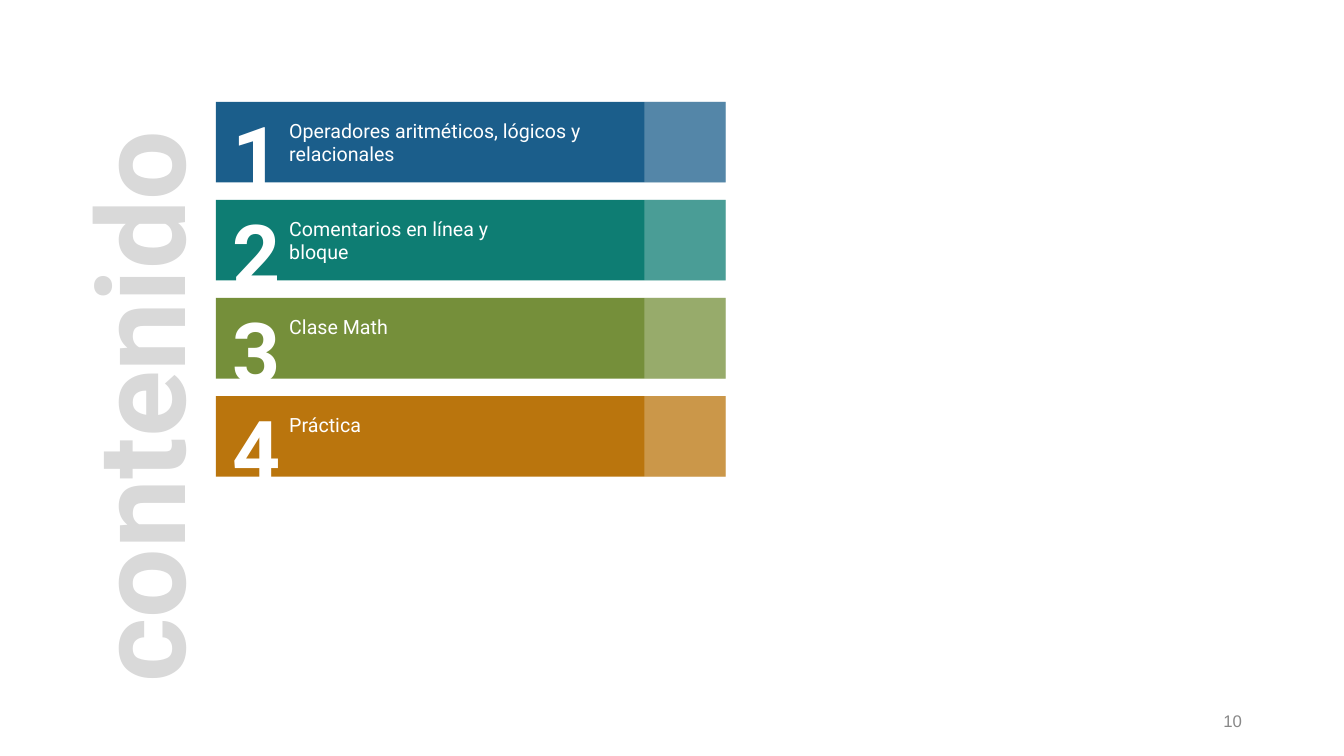
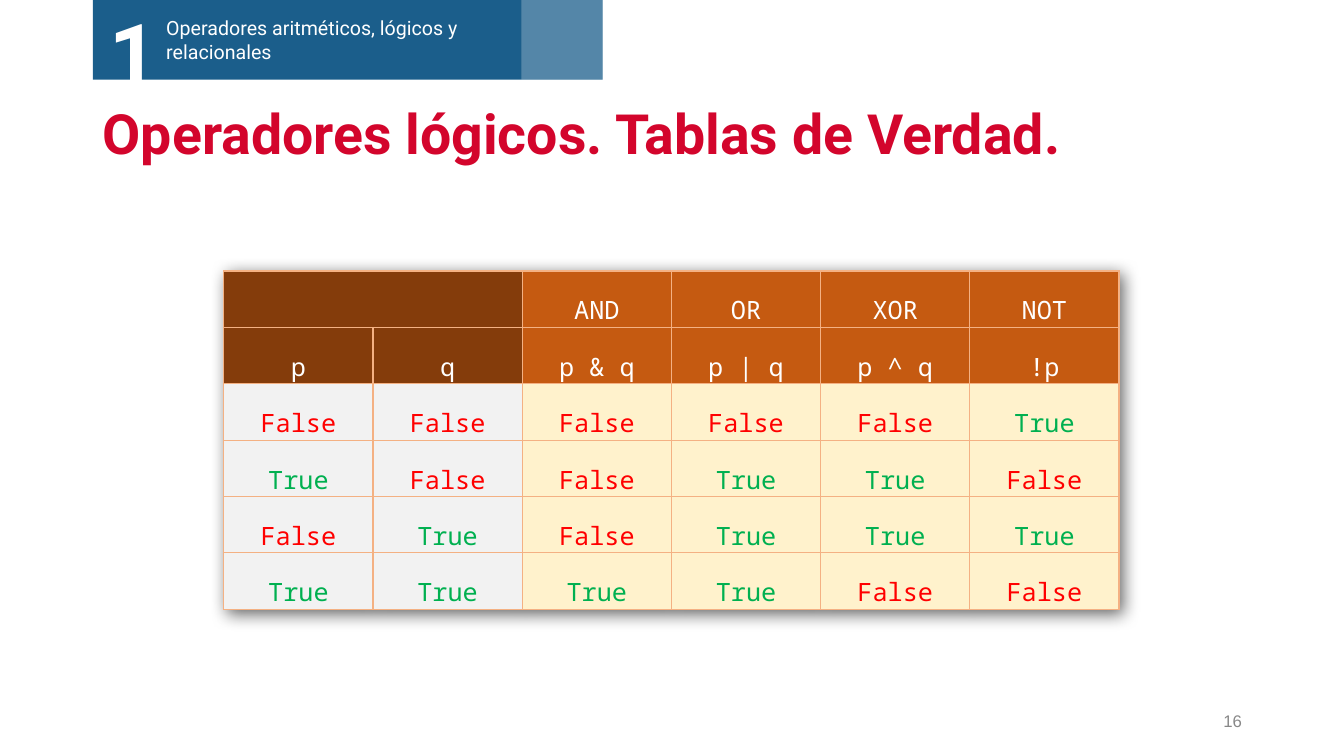
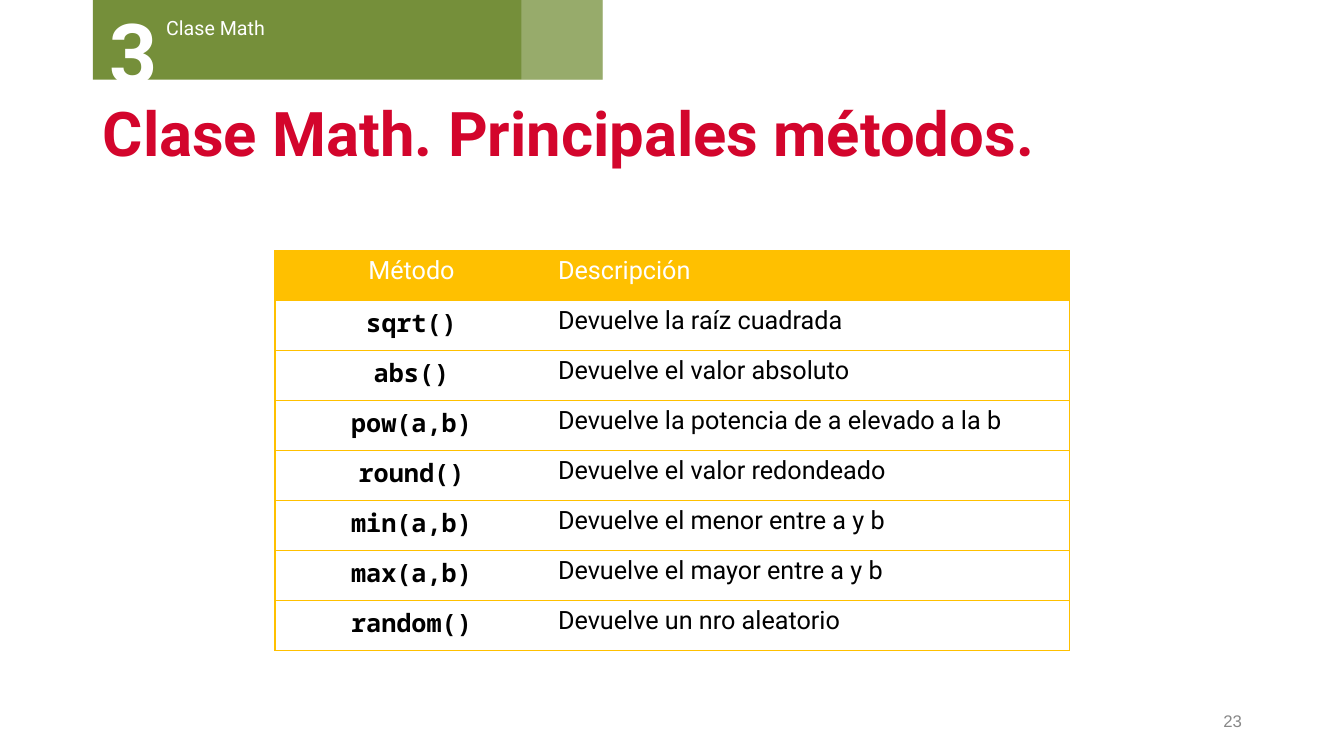
from lxml import etree
from pptx import Presentation
from pptx import util as u
from pptx.dml.color import RGBColor
from pptx.enum import shapes, text
from pptx.oxml.ns import qn

Cm, Pt = u.Cm, u.Pt
HUES = {
    "white": "FFFFFF", "black": "000000", "title": "D3052C",
    "page": "888888", "side": "D9D9D9",
    "blue": "1B5E8B", "teal": "0E7D73", "green": "758F3A", "ochre": "BA750D",
    "brown": "843C0B", "rust": "C55A11", "peach": "F4B183",
    "pale": "F2F2F2", "cream": "FFF2CC", "gold": "FFC000",
    "False": "FF0000", "True": "00B050",
}
SANS, MONO = "Roboto", "Noto Sans Mono"
LEFT, MID, RIGHT = (text.PP_ALIGN.LEFT, text.PP_ALIGN.CENTER,
                    text.PP_ALIGN.RIGHT)
BARE = "{2D5ABB26-0587-4C30-8999-92F81FD0307C}"  # table style without grid

# number: label, hue, label width, label height
TOPICS = {
    1: ("Operadores aritméticos, lógicos y relacionales", "blue", 8.51, 1.45),
    2: ("Comentarios en línea y bloque", "teal", 6.99, 1.45),
    3: ("Clase Math", "green", 6.99, 0.86),
    4: ("Práctica", "ochre", 6.99, 0.86),
}
TRUTH = [
    ["", "", "AND", "OR", "XOR", "NOT"],
    ["p", "q", "p & q", "p | q", "p ^ q", "!p"],
    ["False", "False", "False", "False", "False", "True"],
    ["True", "False", "False", "True", "True", "False"],
    ["False", "True", "False", "True", "True", "True"],
    ["True", "True", "True", "True", "False", "False"],
]
METHODS = [
    ["Método", "Descripción"],
    ["sqrt()", "Devuelve la raíz cuadrada"],
    ["abs()", "Devuelve el valor absoluto"],
    ["pow(a,b)", "Devuelve la potencia de a elevado a la b"],
    ["round()", "Devuelve el valor redondeado"],
    ["min(a,b)", "Devuelve el menor entre a y b"],
    ["max(a,b)", "Devuelve el mayor entre a y b"],
    ["random()", "Devuelve un nro aleatorio"],
]


def rgb(hue):
    return RGBColor.from_string(HUES[hue])


def write(frame, words, hue, size, name=SANS, bold=False, align=LEFT,
          lead=None):
    para = frame.paragraphs[0]
    para.alignment = align
    if lead:
        para.line_spacing = lead
    run = para.add_run()
    run.text = words
    look = {"size": Pt(size), "name": name, "bold": bold}
    for key, val in look.items():
        setattr(run.font, key, val)
    run.font.color.rgb = rgb(hue)


def label(parts, box, words, hue, size, anchor=text.MSO_ANCHOR.TOP,
          wrap=True, **look):
    area = parts.add_textbox(*map(Cm, box))
    area.text_frame.word_wrap = wrap
    area.text_frame.vertical_anchor = anchor
    write(area.text_frame, words, hue, size, **look)
    return area


def block(parts, box, hue, alpha=None):
    rect = parts.add_shape(shapes.MSO_SHAPE.RECTANGLE, *map(Cm, box))
    rect.shadow.inherit = False
    rect.fill.solid()
    rect.fill.fore_color.rgb = rgb(hue)
    rect.line.fill.background()
    if alpha:
        tone = rect._element.spPr.find(".//" + qn("a:srgbClr"))
        etree.SubElement(tone, qn("a:alpha"), val=str(alpha * 1000))


def band(slide, num, x, y):
    """Numbered topic band with its top left corner at x, y."""
    words, hue, wide, high = TOPICS[num]
    parts = slide.shapes.add_group_shape().shapes
    block(parts, (x, y, 12.85, 2.03), hue)
    label(parts, (x + 1.6, y + 0.3, wide, high), words, "white", 14)
    label(parts, (x + 0.18, y - 0.08, 2.84, 2.82), str(num), "white", 60,
          bold=True)
    block(parts, (x + 10.8, y, 2.05, 2.03), "white", 25)


def page(deck, num):
    slide = deck.slides.add_slide(deck.slide_layouts[6])
    label(slide.shapes, (23.93, 17.65, 7.62, 1.02), str(num), "page", 12,
          anchor=text.MSO_ANCHOR.MIDDLE, name="Arial", align=RIGHT)
    return slide


def topic(deck, num, part, title, size):
    """Page with a topic band on top and a title."""
    slide = page(deck, num)
    band(slide, part, 2.34, -0.02)
    label(slide.shapes, (2.34, 2.36, 29.21, 2.18), title, "title", size,
          anchor=text.MSO_ANCHOR.MIDDLE, bold=True, lead=0.9)
    return slide


def table(slide, x, y, cols, high, count):
    """Unstyled table with rows of equal height."""
    size = map(Cm, (x, y, sum(cols), high * count))
    grid = slide.shapes.add_table(count, len(cols), *size).table
    grid.first_row = grid.horz_banding = False
    grid._tbl.tblPr.find(qn("a:tableStyleId")).text = BARE
    for col, wide in zip(grid.columns, cols):
        col.width = Cm(wide)
    for row in grid.rows:
        row.height = Cm(high)
    return grid


def paint(cell, fill, edge, sides):
    """Fill a cell and rule the given sides, in the order L, R, T, B."""
    props = cell._tc.get_or_add_tcPr()
    for side in sides:
        line = etree.SubElement(props, qn("a:ln" + side), w=str(Pt(1)))
        solid = etree.SubElement(line, qn("a:solidFill"))
        etree.SubElement(solid, qn("a:srgbClr"), val=HUES[edge])
    cell.fill.solid()
    cell.fill.fore_color.rgb = rgb(fill)


def shade(grid):
    """Soft shadow down and to the right of a table."""
    fx = etree.Element(qn("a:effectLst"))
    cast = etree.SubElement(fx, qn("a:outerShdw"), blurRad=str(Pt(12)),
                            dist=str(Pt(4)), dir="2700000", algn="tl")
    tone = etree.SubElement(cast, qn("a:srgbClr"), val=HUES["black"])
    etree.SubElement(tone, qn("a:alpha"), val="60000")
    grid._tbl.tblPr.insert(0, fx)


def truth(slide, x, y):
    grid = table(slide, x, y, [3.76] * 6, 1.42, len(TRUTH))
    shade(grid)
    slim = {"margin_left": 0, "margin_right": 0, "margin_top": 0,
            "margin_bottom": 0, "vertical_anchor": text.MSO_ANCHOR.BOTTOM}
    for r, row in enumerate(TRUTH):
        for c, words in enumerate(row):
            cell = grid.cell(r, c)
            head, data = ("brown", "pale") if c < 2 else ("rust", "cream")
            paint(cell, head if r < 2 else data, "peach", "LRTB")
            for key, val in slim.items():
                setattr(cell, key, val)
            if words:
                hue = words if words in HUES else "white"
                write(cell.text_frame, words, hue, 18, name=MONO, align=MID,
                      lead=1.5)
    grid.cell(0, 0).merge(grid.cell(0, 1))


def methods(slide, x, y):
    grid = table(slide, x, y, [6.88, 13.14], 1.26, len(METHODS))
    for r, row in enumerate(METHODS):
        for c, words in enumerate(row):
            cell, code = grid.cell(r, c), r > 0 and c == 0
            paint(cell, "white" if r else "gold", "gold",
                  "RTB" if c else "LTB")
            write(cell.text_frame, words, "black" if r else "white", 18,
                  name=MONO if code else SANS, bold=code,
                  align=LEFT if c else MID)


def agenda(deck, num):
    slide = page(deck, num)
    for i, part in enumerate(TOPICS):
        band(slide, part, 5.44, 2.57 + 2.47 * i)
    side = label(slide.shapes, (-4.32, 7.67, 15.54, 4.01), "contenido",
                 "side", 88, wrap=False, bold=True)
    side.text_frame.auto_size = text.MSO_AUTO_SIZE.SHAPE_TO_FIT_TEXT
    side.rotation = 270


def main():
    deck = Presentation()
    deck.slide_width, deck.slide_height = Cm(33.87), Cm(19.05)
    agenda(deck, 10)
    truth(topic(deck, 16, 1, "Operadores lógicos. Tablas de Verdad.", 39.6),
          5.64, 6.83)
    methods(topic(deck, 23, 3, "Clase Math. Principales métodos.", 44),
            6.93, 6.32)
    deck.save("out.pptx")


if __name__ == "__main__":
    main()
